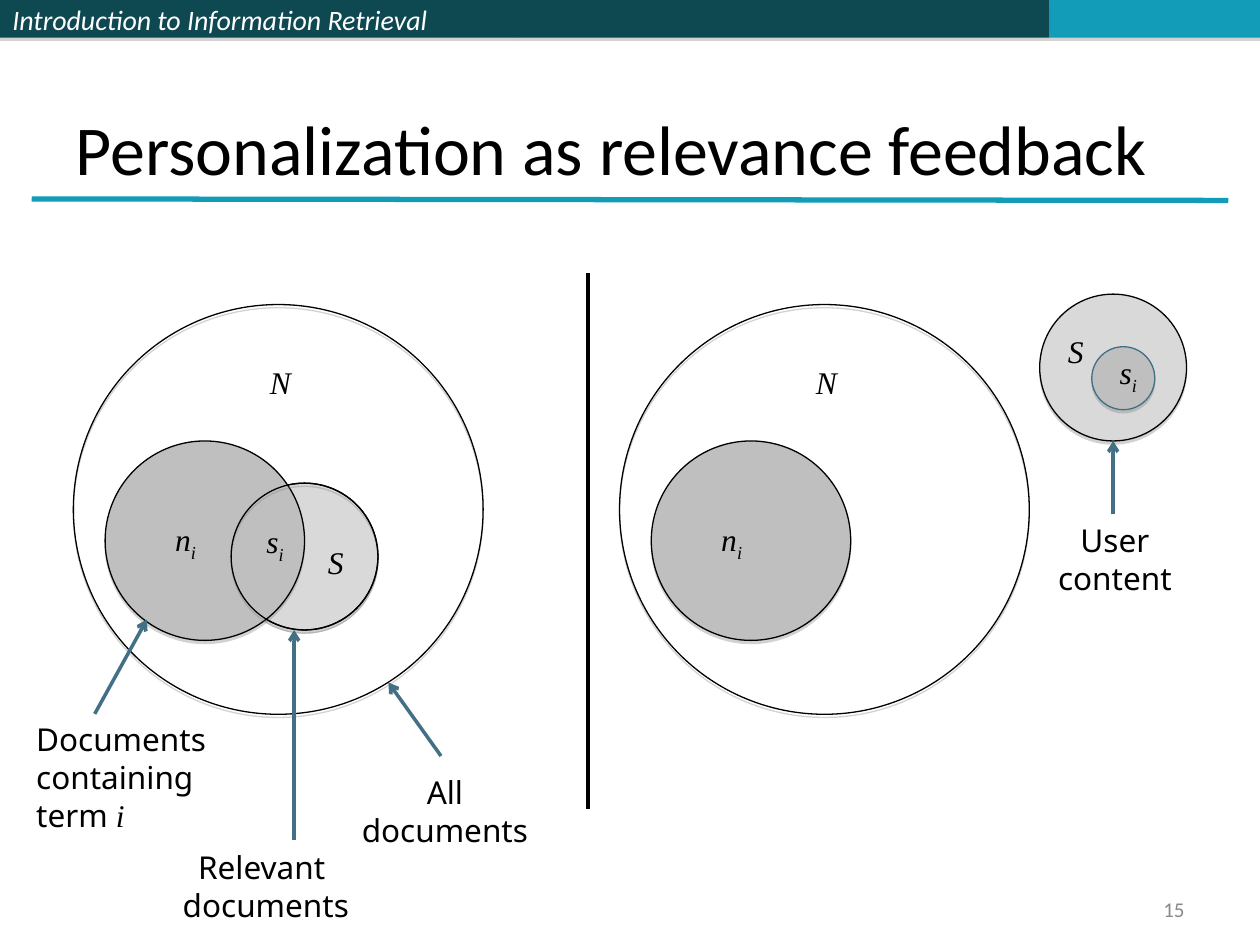
from lxml import etree
from pptx import Presentation
from pptx.dml.color import RGBColor
from pptx.enum.shapes import MSO_CONNECTOR, MSO_SHAPE
from pptx.enum.text import MSO_ANCHOR, MSO_AUTO_SIZE, PP_ALIGN
from pptx.oxml import parse_xml
from pptx.oxml.ns import qn
from pptx.util import Cm, Pt

OVAL, RECTANGLE = MSO_SHAPE.OVAL, MSO_SHAPE.RECTANGLE
STRAIGHT = MSO_CONNECTOR.STRAIGHT
LEFT, CENTER, RIGHT = PP_ALIGN.LEFT, PP_ALIGN.CENTER, PP_ALIGN.RIGHT
MIDDLE, BOTTOM = MSO_ANCHOR.MIDDLE, MSO_ANCHOR.BOTTOM
NO_FIT, GROW = MSO_AUTO_SIZE.NONE, MSO_AUTO_SIZE.SHAPE_TO_FIT_TEXT

BLACK = RGBColor(0x00, 0x00, 0x00)
WHITE = RGBColor(0xFF, 0xFF, 0xFF)
DARK_TEAL = RGBColor(0x0E, 0x48, 0x51)
TEAL = RGBColor(0x13, 0x9C, 0xB7)
ARROW_BLUE = RGBColor(0x43, 0x70, 0x85)
RIM_BLUE = RGBColor(0x40, 0x6E, 0x84)
LIGHT_GRAY = RGBColor(0xD9, 0xD9, 0xD9)
MID_GRAY = RGBColor(0xBF, 0xBF, 0xBF)
NUMBER_GRAY = RGBColor(0x89, 0x89, 0x89)

SANS, SERIF, HEADING = "Noto Sans", "Times New Roman", "Calibri"
SHADOW = (
    '<a:effectLst xmlns:a="http://schemas.openxmlformats.org/drawingml/2006/main">'
    '<a:outerShdw dist="22860" dir="5400000" rotWithShape="0">'
    '<a:srgbClr val="808080"><a:alpha val="35000"/></a:srgbClr>'
    '</a:outerShdw></a:effectLst>'
)
PANEL_STEP = 11.01

deck = Presentation()
deck.slide_width, deck.slide_height = Cm(25.4), Cm(19.05)
page = deck.slides.add_slide(deck.slide_layouts[5])


def add_figure(kind, left, top, width, height, fill, rim):
    figure = page.shapes.add_shape(kind, Cm(left), Cm(top), Cm(width), Cm(height))
    if fill is None:
        figure.fill.background()
    else:
        figure.fill.solid()
        figure.fill.fore_color.rgb = fill
    if rim is None:
        figure.line.fill.background()
    else:
        figure.line.color.rgb = rim
        figure.line.width = Pt(0.75)
    figure._element.spPr.append(parse_xml(SHADOW))
    return figure


def add_span(para, text, font, size, color, italic=False):
    span = para.add_run()
    span.text = text
    span.font.name = font
    span.font.size = Pt(size)
    span.font.color.rgb = color
    span.font.italic = italic
    return span


bands = [
    (0, 10.36, DARK_TEAL, "Introduction to Information Retrieval"),
    (10.36, 10.8, DARK_TEAL, ""),
    (21.16, 4.24, TEAL, ""),
]
for left, width, color, text in bands:
    band = add_figure(RECTANGLE, left, 0, width, 0.76, color, None)
    if text:
        band.text_frame.vertical_anchor = MIDDLE
        para = band.text_frame.paragraphs[0]
        para.alignment = LEFT
        add_span(para, text, HEADING, 16, WHITE, True)

title = page.shapes.title
title.left, title.top, title.width, title.height = Cm(1.27), Cm(0.76), Cm(22.86), Cm(3.18)
title.text_frame.vertical_anchor = BOTTOM
title.text_frame.auto_size = NO_FIT
para = title.text_frame.paragraphs[0]
para.alignment = LEFT
add_span(para, "Personalization as relevance feedback", HEADING, 40, BLACK)

number = page.shapes.add_textbox(Cm(18.2), Cm(17.98), Cm(5.93), Cm(0.69))
number.text_frame.word_wrap = True
number.text_frame.vertical_anchor = MIDDLE
para = number.text_frame.paragraphs[0]
para.alignment = RIGHT
add_span(para, "15", HEADING, 12, NUMBER_GRAY)

circles = [
    (1.48, 6.14, 8.26, None, BLACK),
    (4.66, 9.74, 2.96, LIGHT_GRAY, BLACK),
    (2.12, 8.89, 4.02, MID_GRAY, BLACK),
    (4.66, 9.74, 2.96, None, BLACK),
    (1.48 + PANEL_STEP, 6.14, 8.26, None, BLACK),
    (2.12 + PANEL_STEP, 8.89, 4.02, MID_GRAY, BLACK),
    (20.96, 5.93, 2.96, LIGHT_GRAY, BLACK),
    (22.01, 6.99, 1.27, MID_GRAY, RIM_BLUE),
]
for left, top, size, fill, rim in circles:
    add_figure(OVAL, left, top, size, size, fill, rim)

lines = [
    (0.64, 4.01, 24.76, 4.04, TEAL, 3, False),
    (11.85, 5.5, 11.85, 16.3, BLACK, 2, False),
    (8.89, 15.24, 7.83, 13.76, ARROW_BLUE, 2, True),
    (1.91, 14.39, 2.96, 12.49, ARROW_BLUE, 2, True),
    (5.93, 16.93, 5.93, 12.7, ARROW_BLUE, 2, True),
    (22.44, 10.37, 22.44, 8.89, ARROW_BLUE, 2, True),
]
for x1, y1, x2, y2, color, width, pointed in lines:
    line = page.shapes.add_connector(STRAIGHT, Cm(x1), Cm(y1), Cm(x2), Cm(y2))
    line.line.color.rgb = color
    line.line.width = Pt(width)
    if pointed:
        outline = line._element.spPr.find(qn("a:ln"))
        etree.SubElement(outline, qn("a:tailEnd"), type="arrow")
    etree.SubElement(line._element.spPr, qn("a:effectLst"))

symbols = [
    (5.19, 7.19, 0.94, "N", ""),
    (3.28, 10.36, 1.0, "n", "i"),
    (6.36, 10.82, 0.84, "S", ""),
    (5.12, 10.4, 0.9, "s", "i"),
    (5.19 + PANEL_STEP, 7.19, 0.94, "N", ""),
    (3.28 + PANEL_STEP, 10.36, 1.0, "n", "i"),
    (21.28, 6.56, 0.84, "S", ""),
    (22.32, 6.99, 0.9, "s", "i"),
]
for left, top, width, letter, index in symbols:
    box = page.shapes.add_textbox(Cm(left), Cm(top), Cm(width), Cm(1.12 if index else 1.02))
    box.text_frame.word_wrap = False
    box.text_frame.auto_size = GROW
    para = box.text_frame.paragraphs[0]
    add_span(para, letter, SERIF, 18, BLACK, True)
    if index:
        span = add_span(para, index, SERIF, 18, BLACK, True)
        span.font._element.set("baseline", "-25000")

captions = [
    (21.08, 10.38, 2.79, CENTER, ["User", "content"], ""),
    (0.48, 14.4, 3.94, LEFT, ["Documents", "containing", "term "], "i"),
    (3.43, 16.97, 3.86, CENTER, ["Relevant ", "documents"], ""),
    (7.04, 15.46, 3.86, CENTER, ["All", "documents"], ""),
]
for left, top, width, alignment, rows, variable in captions:
    height = 0.25 + 0.76 * len(rows)
    box = page.shapes.add_textbox(Cm(left), Cm(top), Cm(width), Cm(height))
    frame = box.text_frame
    frame.word_wrap = False
    frame.auto_size = GROW
    for position, row in enumerate(rows):
        para = frame.add_paragraph() if position else frame.paragraphs[0]
        para.alignment = alignment
        para.line_spacing = Pt(21.6)
        add_span(para, row, SANS, 18, BLACK)
    if variable:
        add_span(para, variable, SERIF, 18, BLACK, True)

deck.save("out.pptx")
